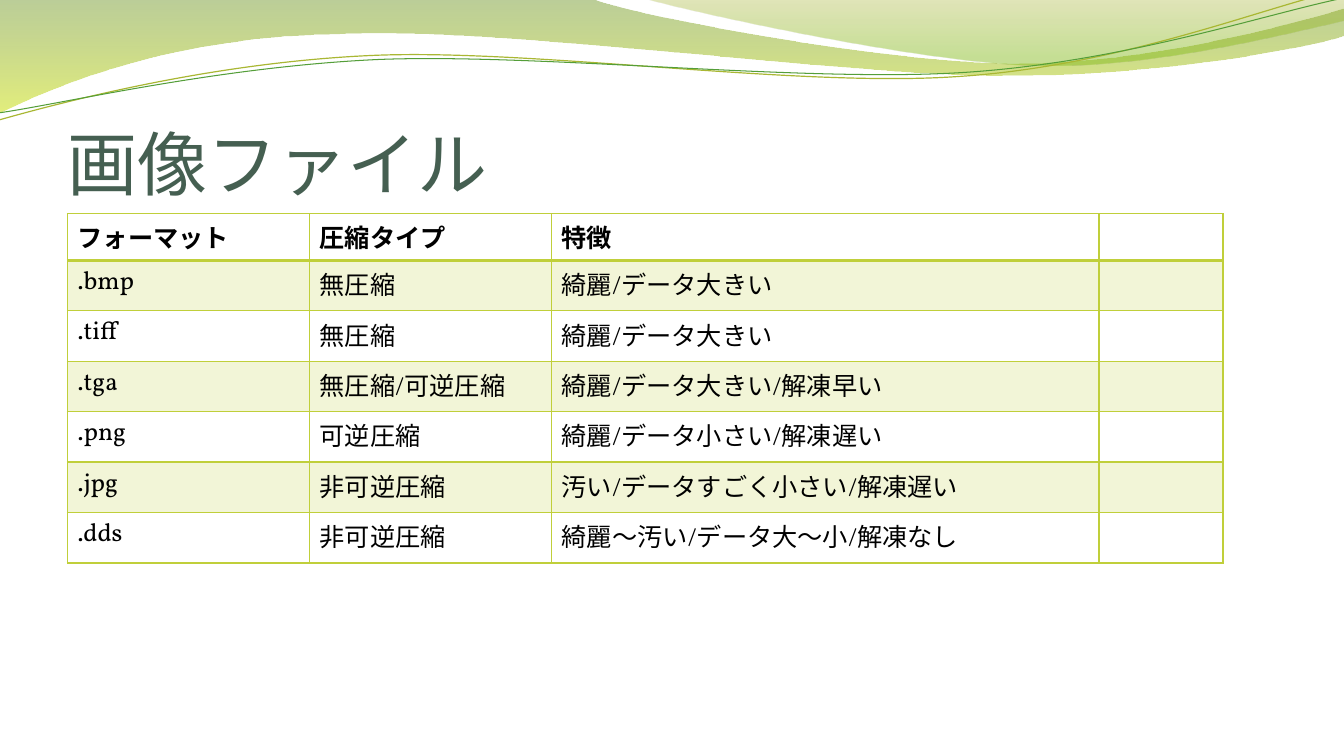
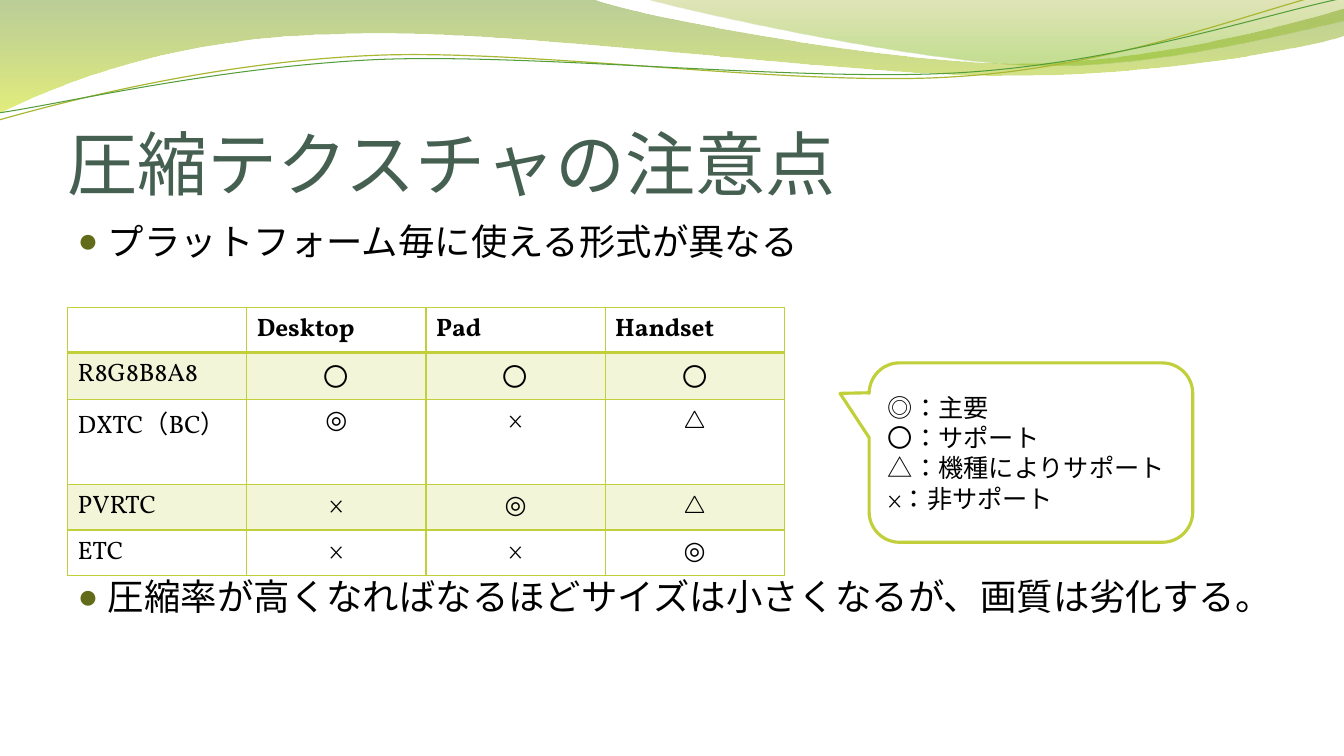
from lxml import etree
from pptx import Presentation
from pptx.dml.color import RGBColor
from pptx.enum.shapes import MSO_SHAPE
from pptx.enum.text import MSO_ANCHOR, MSO_AUTO_SIZE, PP_ALIGN
from pptx.oxml.ns import qn
from pptx.util import Inches, Pt

BLACK = RGBColor(0x00, 0x00, 0x00)
WHITE = RGBColor(0xFF, 0xFF, 0xFF)
SLATE = RGBColor(0x45, 0x5F, 0x51)
LIME = RGBColor(0xC0, 0xCF, 0x3A)
OLIVE = RGBColor(0x62, 0x6B, 0x1A)
MOSS = RGBColor(0x69, 0x92, 0x1C)
YELLOW = RGBColor(0xCC, 0xE1, 0x0F)
SAGE = RGBColor(0x9B, 0xAA, 0x1A)
LEAF = RGBColor(0x81, 0xBA, 0x16)
STRAW = RGBColor(0xA9, 0xB7, 0x33)
GREEN = RGBColor(0x54, 0x9E, 0x39)

SANS = "Noto Sans CJK JP"
SERIF = "Vollkorn"
LEFT = 0.67

# Outlines: a start point, then lines (1 point) or curves (3 points)
BANDS = [
    ([(0, 0), [(5.87, -0.01)],
      [(6.34, 0.17), (8.84, 0.63), (10.11, 0.63)],
      [(11.37, 0.63), (12.77, 0.26), (13.33, 0.09)], [(13.34, 0.36)],
      [(13.11, 0.44), (11.59, 0.76), (9.94, 0.75)],
      [(8.29, 0.75), (5.09, 0.28), (3.43, 0.34)],
      [(1.72, 0.36), (0.61, 0.83), (-0.02, 1.13)]],
     [(0, MOSS, 45), (1, YELLOW, 55)]),
    ([(6.38, -0.01), [(6.79, 0.11), (9.09, 0.62), (10.25, 0.65)],
      [(11.4, 0.69), (12.82, 0.32), (13.33, 0.21)], [(13.33, 0)]],
     [(0, SAGE, 30), (0.8, LEAF, 45)]),
]
WAVES = [
    ([(-0.01, 1.19), [(0.63, 1.01), (2.1, 0.62), (3.69, 0.55)],
      [(5.27, 0.48), (7.89, 0.87), (9.49, 0.76)],
      [(11.1, 0.66), (12.51, 0.08), (13.3, -0.1)]], STRAW, 0.85),
    ([(-0.01, 1.12), [(0.62, 1.03), (2.18, 0.66), (3.77, 0.59)],
      [(5.37, 0.53), (7.96, 0.82), (9.55, 0.72)],
      [(11.14, 0.62), (12.55, 0.14), (13.33, -0.02)]], GREEN, 0.75),
]

FORMATS = [
    ["フォーマット", "圧縮タイプ", "特徴", ""],
    [".bmp", "無圧縮", "綺麗/データ大きい", ""],
    [".tiff", "無圧縮", "綺麗/データ大きい", ""],
    [".tga", "無圧縮/可逆圧縮", "綺麗/データ大きい/解凍早い", ""],
    [".png", "可逆圧縮", "綺麗/データ小さい/解凍遅い", ""],
    [".jpg", "非可逆圧縮", "汚い/データすごく小さい/解凍遅い", ""],
    [".dds", "非可逆圧縮", "綺麗～汚い/データ大～小/解凍なし", ""],
]
SUPPORT = [
    ["", "Desktop", "Pad", "Handset"],
    ["R8G8B8A8", "〇", "〇", "〇"],
    ["DXTC（BC）", "◎", "×", "△"],
    ["PVRTC", "×", "◎", "△"],
    ["ETC", "×", "×", "◎"],
]
LEGEND = ["◎：主要", "〇：サポート", "△：機種によりサポート", "×：非サポート"]
POINTS = ["プラットフォーム毎に使える形式が異なる",
          "圧縮率が高くなればなるほどサイズは小さくなるが、画質は劣化する。"]


def sub(parent, tag, **attrs):
    """Append a DrawingML child element."""
    el = etree.SubElement(parent, qn(tag))
    for key, value in attrs.items():
        el.set(key, str(value))
    return el


def place(sp, x, y, w, h):
    sp.left, sp.top, sp.width, sp.height = (Inches(v) for v in (x, y, w, h))


def set_font(p, name, size, color=BLACK, bold=False):
    """Format a paragraph, for Latin and Japanese text alike."""
    f = p.font
    f.name, f.size, f.bold = name, Pt(size), bold
    f.color.rgb = color
    props = p._p.get_or_add_pPr().find(qn("a:defRPr"))
    props.set("lang", "ja-JP")
    sub(props, "a:ea", typeface=SANS)
    for r in p.runs:
        r._r.get_or_add_rPr().set("lang", "ja-JP")


def set_alpha(parent, percents):
    for clr, percent in zip(parent.iter(qn("a:srgbClr")), percents):
        sub(clr, "a:alpha", val=percent * 1000)


# Shared wave decoration
def add_outline(slide, outline, close):
    """Build a freeform, then join each run of three points into a curve."""
    start, segments = outline[0], outline[1:]
    points = [(Inches(x), Inches(y)) for seg in segments for x, y in seg]
    fb = slide.shapes.build_freeform(Inches(start[0]), Inches(start[1]))
    fb.add_line_segments(points, close=close)
    sp = fb.convert_to_shape()
    sp.shadow.inherit = False
    lines = list(sp.element.iter(qn("a:lnTo")))
    for seg in segments:
        used, lines = lines[:len(seg)], lines[len(seg):]
        if len(seg) == 3:
            curve = etree.Element(qn("a:cubicBezTo"))
            used[0].addprevious(curve)
            for line in used:
                curve.append(line[0])
                line.getparent().remove(line)
    return sp


def decorate_master(prs, slide):
    """Draw the waves and move them behind everything on the master."""
    parts = []
    for outline, stops in BANDS:
        sp = add_outline(slide, outline, True)
        sp.line.fill.background()
        sp.fill.gradient()
        sp.fill.gradient_angle = 270
        for stop, (pos, color, _) in zip(sp.fill.gradient_stops, stops):
            stop.position = pos
            stop.color.rgb = color
        set_alpha(sp.element.spPr, [s[2] for s in stops])
        parts.append(sp)
    for outline, color, width in WAVES:
        sp = add_outline(slide, outline, False)
        sp.fill.background()
        sp.line.color.rgb = color
        sp.line.width = Pt(width)
        parts.append(sp)
    tree = prs.slide_master.shapes.element
    for i, sp in enumerate(parts):
        sp.element.nvSpPr.cNvPr.set("id", str(20 + i))
        tree.insert(2 + i, sp.element)


def set_title(slide, text):
    sp = slide.shapes.title
    place(sp, LEFT, 0.77, 12, 1.25)
    tf = sp.text_frame
    tf.text = text
    tf.auto_size = MSO_AUTO_SIZE.NONE
    tf.vertical_anchor = MSO_ANCHOR.BOTTOM
    tf.margin_left = tf.margin_right = tf.margin_bottom = 0
    tf.margin_top = Inches(0.05)
    p = tf.paragraphs[0]
    p.alignment = PP_ALIGN.LEFT
    p.line_spacing = 0.8
    set_font(p, SANS, 50, SLATE)


def set_borders(cell, widths):
    """Set left, right, top and bottom borders, in points."""
    tcPr = cell._tc.get_or_add_tcPr()
    for i, (side, width) in enumerate(zip("LRTB", widths)):
        ln = sub(tcPr, "a:ln" + side, w=Pt(width))
        sub(sub(ln, "a:solidFill"), "a:srgbClr", val=LIME)
        tcPr.insert(i, ln)


def add_banded_table(slide, x, y, cols, rows, center_marks=False):
    height = 0.41
    table = slide.shapes.add_table(
        len(rows), len(cols), Inches(x), Inches(y),
        Inches(sum(cols)), Inches(height * len(rows))).table
    table.first_row = table.horz_banding = False
    for col, width in zip(table.columns, cols):
        col.width = Inches(width)
    for r, texts in enumerate(rows):
        table.rows[r].height = Inches(height)
        for c, text in enumerate(texts):
            cell = table.cell(r, c)
            cell.text = text
            p = cell.text_frame.paragraphs[0]
            if center_marks and r and c:
                p.alignment = PP_ALIGN.CENTER
            set_font(p, SERIF, 18, bold=r == 0)
            if r % 2:
                cell.fill.solid()
                cell.fill.fore_color.rgb = LIME
                set_alpha(cell._tc.tcPr, [20])
            else:
                cell.fill.background()
            set_borders(cell, (1, 1, 2 if r == 1 else 1, 2 if r == 0 else 1))


def set_bullets(slide, x, y, w, h, texts, gap):
    """Fill the body with bullets, gap points apart."""
    sp = slide.placeholders[1]
    place(sp, x, y, w, h)
    tf = sp.text_frame
    tf.auto_size = MSO_AUTO_SIZE.NONE
    for i, text in enumerate(texts):
        p = tf.paragraphs[0] if i == 0 else tf.add_paragraph()
        p.text = text
        p.space_before = Pt(gap if i else 0)
        pPr = p._p.get_or_add_pPr()
        pPr.set("marL", str(Inches(0.3)))
        pPr.set("indent", str(-Inches(0.3)))
        sub(sub(pPr, "a:buClr"), "a:srgbClr", val=OLIVE)
        sub(pPr, "a:buSzPct", val=95000)
        sub(pPr, "a:buChar", char="●")
        set_font(p, SANS, 26)


def add_legend(slide, x, y, w, h):
    sp = slide.shapes.add_shape(MSO_SHAPE.ROUNDED_RECTANGULAR_CALLOUT,
                                Inches(x), Inches(y), Inches(w), Inches(h))
    sp.shadow.inherit = False
    for i, value in enumerate((-0.59, -0.33, 0.17)):
        sp.adjustments[i] = value
    sp.fill.solid()
    sp.fill.fore_color.rgb = WHITE
    sp.line.color.rgb = LIME
    sp.line.width = Pt(2.25)
    tf = sp.text_frame
    tf.word_wrap = True
    tf.vertical_anchor = MSO_ANCHOR.MIDDLE
    for i, text in enumerate(LEGEND):
        p = tf.paragraphs[0] if i == 0 else tf.add_paragraph()
        p.text = text
        p.alignment = PP_ALIGN.LEFT
        set_font(p, SERIF, 18)


def build_formats(slide):
    set_title(slide, "画像ファイル")
    add_banded_table(slide, LEFT, 2.12, [2.4, 2.4, 5.43, 1.23], FORMATS)


def build_support(slide):
    set_title(slide, "圧縮テクスチャの注意点")
    set_bullets(slide, LEFT, 2.12, 12, 4.75, POINTS, gap=223)
    add_banded_table(slide, LEFT, 3.05, [7.11 / 4] * 4, SUPPORT,
                     center_marks=True)
    add_legend(slide, 8.62, 3.6, 3.21, 1.78)


def main():
    prs = Presentation()
    prs.slide_width, prs.slide_height = Inches(13.33), Inches(7.5)
    title_only, title_body = prs.slide_layouts[5], prs.slide_layouts[1]
    formats = prs.slides.add_slide(title_only)
    decorate_master(prs, formats)
    build_formats(formats)
    build_support(prs.slides.add_slide(title_body))
    prs.save("out.pptx")


if __name__ == "__main__":
    main()
